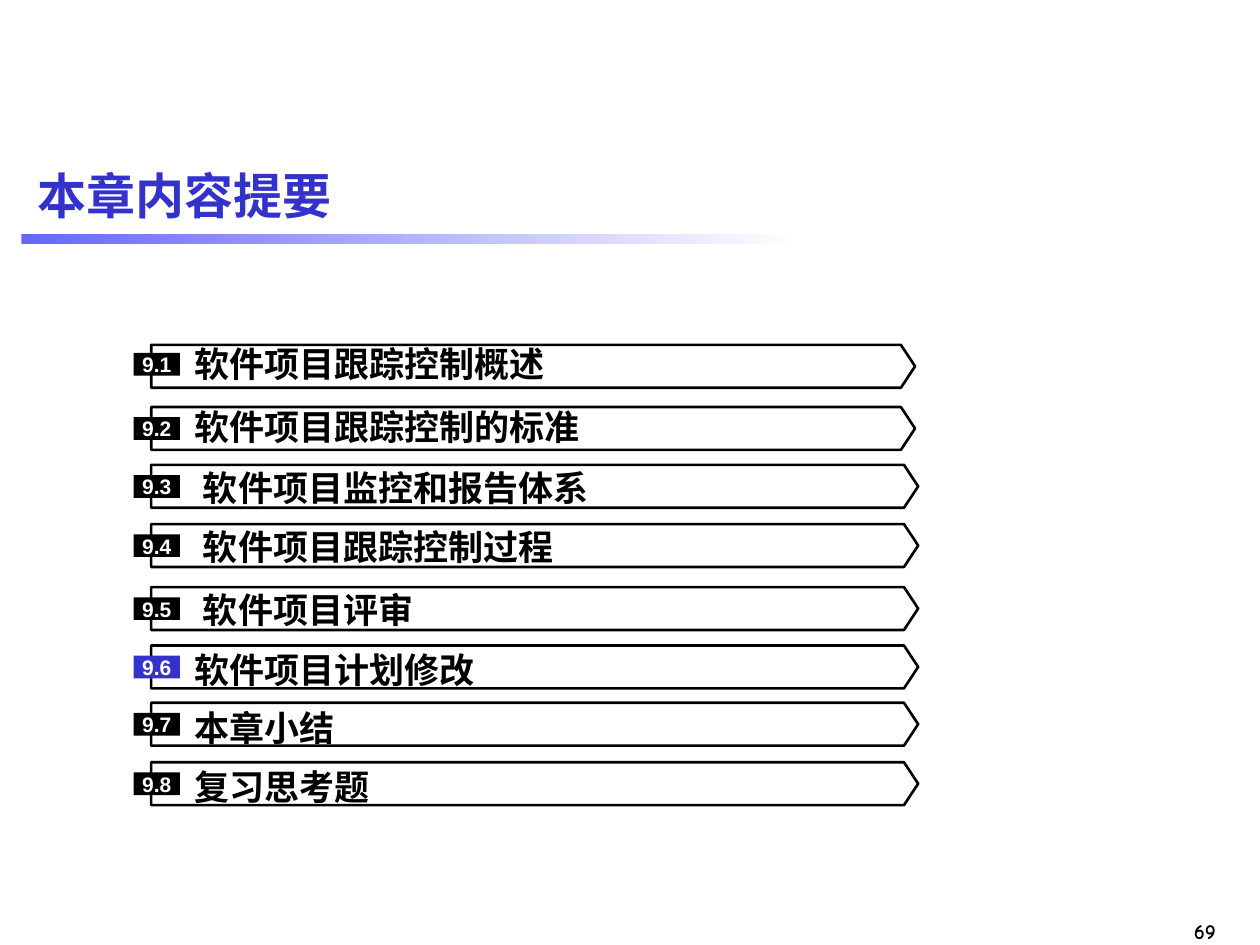
from pptx import Presentation
from pptx.dml.color import RGBColor
from pptx.enum.shapes import MSO_SHAPE as SHAPE
from pptx.enum.text import MSO_ANCHOR as ANCHOR, PP_ALIGN as ALIGN
from pptx.oxml.ns import qn
from pptx.util import Pt

BLACK, WHITE, BLUE = "000000", "FFFFFF", "3333CC"
CJK = "Noto Sans CJK SC"


def rgb(value):
    return RGBColor.from_string(value)


def write(sp, text, size, color, name="Arial", align=ALIGN.LEFT, inset=0, wrap=True):
    """Put one bold, vertically centred line in a shape; inset is its left margin."""
    tf = sp.text_frame
    frame = {"word_wrap": wrap, "vertical_anchor": ANCHOR.MIDDLE, "margin_left": Pt(inset),
             "margin_right": 0, "margin_top": 0, "margin_bottom": 0}
    for key, value in frame.items():
        setattr(tf, key, value)
    p = tf.paragraphs[0]
    p.alignment = align
    r = p.add_run()
    r.text = text
    for key, value in {"size": Pt(size), "bold": True, "name": name}.items():
        setattr(r.font, key, value)
    r.font.color.rgb = rgb(color)
    ea = r.font._element.makeelement(qn("a:ea"), {"typeface": CJK})
    r.font._element.find(qn("a:latin")).addnext(ea)


prs = Presentation()
prs.slide_width, prs.slide_height = Pt(720), Pt(540)
s = prs.slides.add_slide(prs.slide_layouts[6])

# Title, rule and page number
title = s.shapes.add_textbox(Pt(14.4), Pt(82.8), Pt(692), Pt(56.9))
write(title, "本章内容提要", 28, BLUE, inset=7.2)

rule = s.shapes.add_shape(SHAPE.RECTANGLE, Pt(12.2), Pt(133.9), Pt(444.2), Pt(5.8))
rule.shadow.inherit = False
rule.line.fill.background()
rule.fill.gradient()
rule.fill.gradient_angle = 0
for stop, color, position in zip(rule.fill.gradient_stops, ("6666FF", WHITE), (0, 1)):
    stop.color.rgb = rgb(color)
    stop.position = position

number = s.shapes.add_textbox(Pt(662.4), Pt(521.3), Pt(32.4), Pt(21.6))
write(number, "69", 12, BLACK, "Comic Neue", ALIGN.RIGHT, wrap=False)

# Chapter sections: text, arrow top, arrow width, text middle, text indent, font
sections = [
    ("软件项目跟踪控制概述", 197.1, 436.5, 207.7, 4.5, CJK),
    ("软件项目跟踪控制的标准", 232.6, 436.5, 243.9, 4.5, CJK),
    ("软件项目监控和报告体系", 265.7, 438.3, 278.5, 9.4, "Arial"),
    ("软件项目跟踪控制过程", 299.5, 438.3, 312.3, 9.4, "Arial"),
    ("软件项目评审", 335.5, 438.3, 348.3, 9.4, "Arial"),
    ("软件项目计划修改", 368.9, 438.3, 382.4, 4.5, "Arial"),
    ("本章小结", 401.6, 438.3, 415.5, 4.5, CJK),
    ("复习思考题", 435.6, 438.3, 449.4, 4.5, CJK),
]
current = 6
for i, (text, top, width, middle, indent, name) in enumerate(sections, 1):
    arrow = s.shapes.add_shape(SHAPE.PENTAGON, Pt(86.4), Pt(top), Pt(width), Pt(24.5))
    arrow.shadow.inherit = False
    arrow.adjustments[0] = 0.33
    arrow.fill.background()
    arrow.line.color.rgb = rgb(BLACK)
    arrow.line.width = Pt(1.5)

    label = s.shapes.add_textbox(Pt(106.6), Pt(middle - 12), Pt(388), Pt(24))
    write(label, text, 20, BLACK, name, inset=indent)

    tag_top = top + (4.5 if i == 1 else 5.8)
    tag = s.shapes.add_shape(SHAPE.RECTANGLE, Pt(76.4), Pt(tag_top), Pt(26.4), Pt(13))
    tag.shadow.inherit = False
    tag.fill.solid()
    tag.fill.fore_color.rgb = rgb(BLUE if i == current else BLACK)
    tag.line.fill.background()
    write(tag, f"9.{i}", 12, WHITE, align=ALIGN.CENTER)

prs.save("out.pptx")
